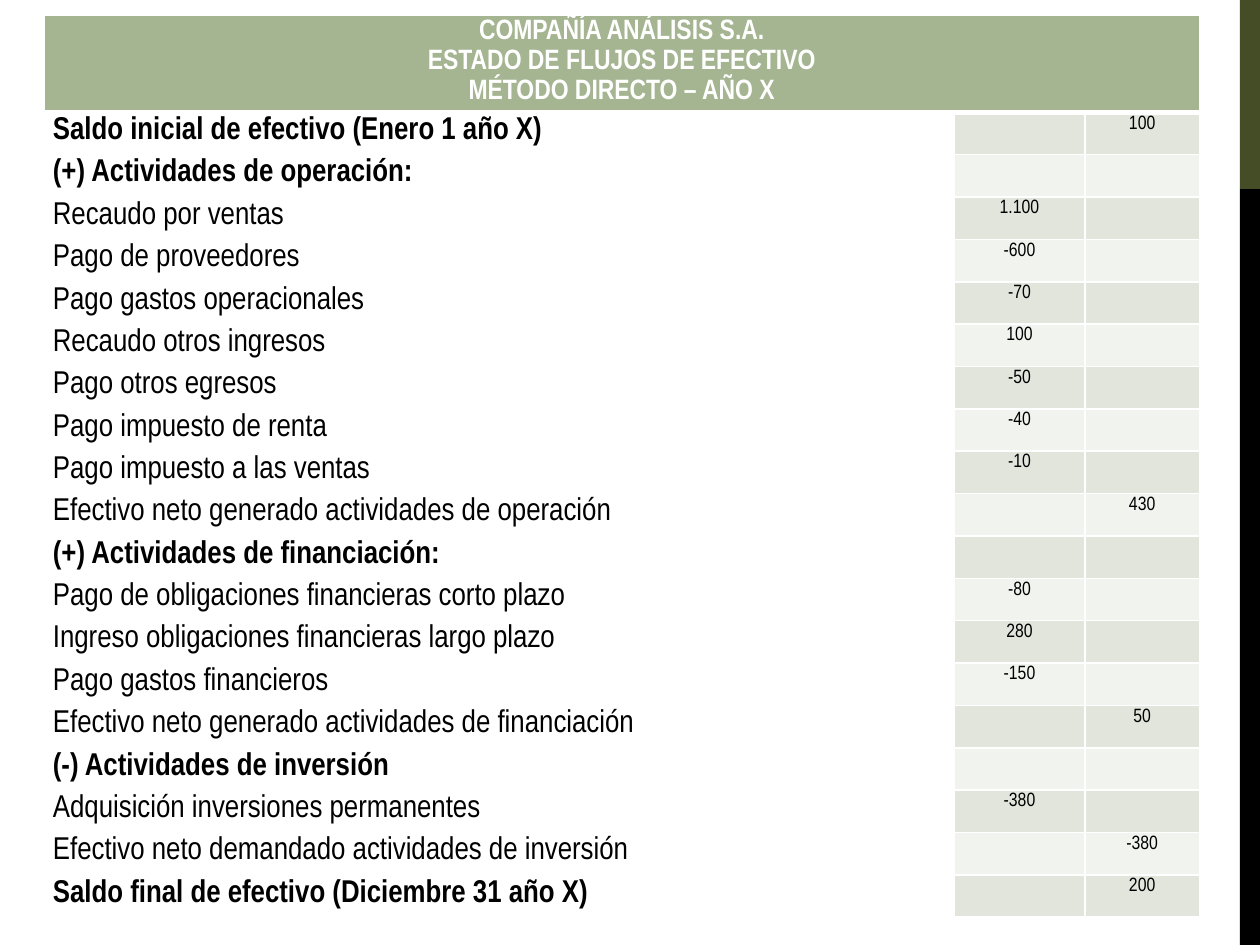
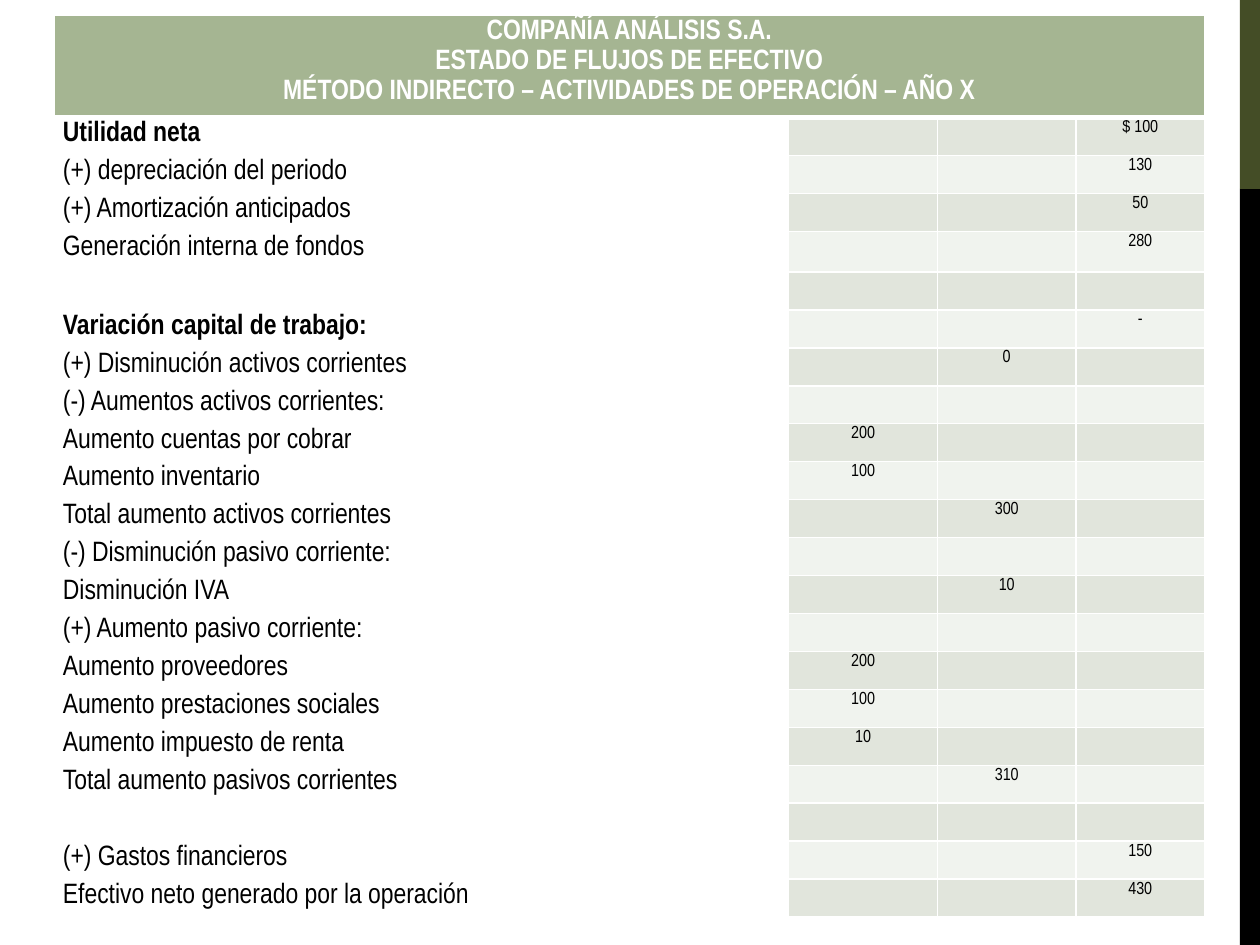
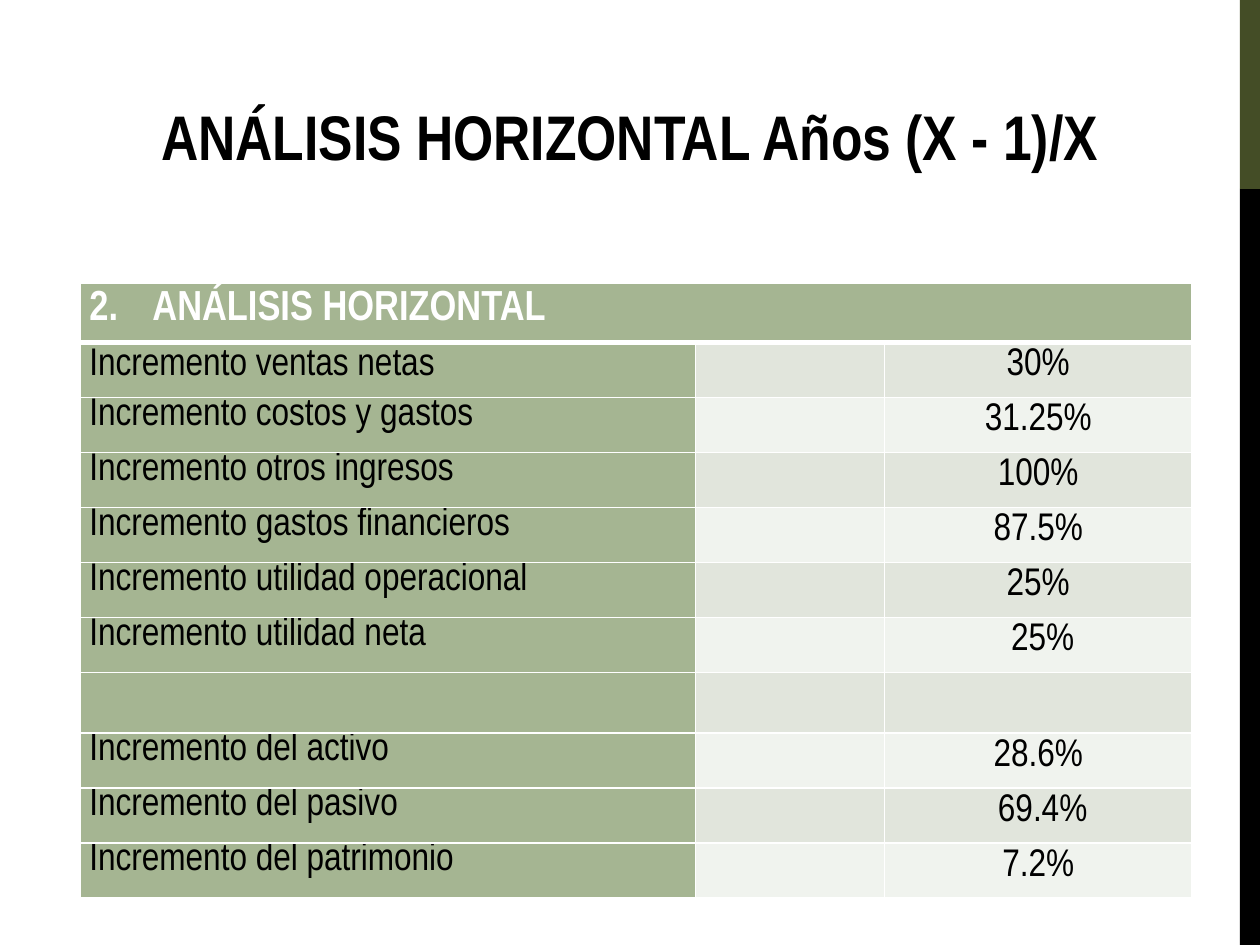
from dataclasses import dataclass
from functools import partial

from lxml import etree
from pptx import Presentation
from pptx.dml.color import RGBColor
from pptx.enum.shapes import MSO_SHAPE
from pptx.enum.text import MSO_ANCHOR, PP_ALIGN
from pptx.oxml.ns import qn
from pptx.util import Inches, Pt

RECTANGLE = MSO_SHAPE.RECTANGLE
TOP = MSO_ANCHOR.TOP
LEFT, CENTER = PP_ALIGN.LEFT, PP_ALIGN.CENTER
TITLE_ONLY, BLANK = 5, 6
GRID_COLUMNS, GRID_ROWS = 100, 75


@dataclass(frozen=True)
class Theme:
    font: str = "Arial Narrow"
    ink: str = "000000"
    paper: str = "FFFFFF"
    olive: str = "444D26"
    sage: str = "A5B592"
    stripes: tuple = ("E1E5DC", "F0F3EE")
    title_size: int = 36
    line_spacing: float = 1.15
    cell_inset: float = 0.7
    border: int = 1
    heading_border: int = 3


@dataclass(frozen=True)
class Line:
    """One statement line; column is where its amount stands."""
    label: str = ""
    column: int = 0
    amount: str = ""
    bold: bool = False


Strong = partial(Line, bold=True)


@dataclass(frozen=True)
class TableStyle:
    heading_size: int
    label_size: int
    amount_size: int
    label_fill: str
    heading_start: int = 0      # number before the heading, 0 for none
    single_spaced_from: int = 99


class Deck:
    def __init__(self, theme):
        self.theme = theme
        self.prs = Presentation()
        self.prs.slide_width, self.prs.slide_height = Inches(10), Inches(7.5)
        self.slide = None

    def x(self, columns):
        return round(self.prs.slide_width * columns / GRID_COLUMNS)

    def y(self, rows):
        return round(self.prs.slide_height * rows / GRID_ROWS)

    def box(self, left, top, width, height):
        return self.x(left), self.y(top), self.x(width), self.y(height)

    def new_slide(self, layout):
        first = self.slide is None
        self.slide = self.prs.slides.add_slide(self.prs.slide_layouts[layout])
        if first:
            self.master_band(101, 0, 15, self.theme.olive)
            self.master_band(102, 15, 60, self.theme.ink)

    def master_band(self, band_id, top, height, color):
        """Draw a band at the right edge and move it to the slide master."""
        band = self.slide.shapes.add_shape(
            RECTANGLE, *self.box(98.4, top, 1.6, height))
        band.shadow.inherit = False
        band.fill.solid()
        band.fill.fore_color.rgb = RGBColor.from_string(color)
        band.line.fill.background()
        band.element.nvSpPr.cNvPr.set("id", str(band_id))
        self.prs.slide_master.shapes.element.insert(2, band.element)

    def add_text(self, paragraph, text, size, color, bold=False, align=LEFT,
                 spacing=None):
        paragraph.alignment = align
        paragraph.line_spacing = spacing or self.theme.line_spacing
        run = paragraph.add_run()
        run.text = text
        run.font.name = self.theme.font
        run.font.size = Pt(size)
        run.font.bold = bold
        run.font.color.rgb = RGBColor.from_string(color)

    def title(self, text, *place):
        title = self.slide.shapes.title
        title.left, title.top, title.width, title.height = self.box(*place)
        title.text_frame.vertical_anchor = TOP
        title.text_frame.word_wrap = True
        self.add_text(title.text_frame.paragraphs[0], text, self.theme.title_size,
                      self.theme.ink, True, CENTER, 1.0)

    def format_cell(self, cell, fill, top=None, bottom=None):
        cell.margin_left = cell.margin_right = self.x(self.theme.cell_inset)
        cell.margin_top = cell.margin_bottom = 0
        properties = cell._tc.get_or_add_tcPr()
        widths = {"lnL": None, "lnR": None, "lnT": top, "lnB": bottom}
        for side, width in widths.items():
            line = etree.SubElement(properties, qn(f"a:{side}"),
                                    w=str(Pt(width or self.theme.border)))
            solid = etree.SubElement(line, qn("a:solidFill"))
            etree.SubElement(solid, qn("a:srgbClr"), val=self.theme.paper)
        cell.fill.solid()
        cell.fill.fore_color.rgb = RGBColor.from_string(fill)

    def number(self, paragraph, start):
        properties = paragraph._p.get_or_add_pPr()
        properties.set("marL", str(self.x(5)))
        properties.set("indent", str(-self.x(5)))
        etree.SubElement(properties, qn("a:buFont"), typeface="+mj-lt")
        etree.SubElement(properties, qn("a:buAutoNum"),
                         type="arabicPeriod", startAt=str(start))

    def heading(self, table, titles, style):
        theme = self.theme
        for cell in table.rows[0].cells:
            self.format_cell(cell, theme.sage, bottom=theme.heading_border)
        origin = table.cell(0, 0)
        origin.merge(table.cell(0, len(table.columns) - 1))
        frame = origin.text_frame
        for index, text in enumerate(titles):
            paragraph = frame.add_paragraph() if index else frame.paragraphs[0]
            self.add_text(paragraph, text, style.heading_size, theme.paper, True,
                          LEFT if style.heading_start else CENTER)
            if style.heading_start:
                self.number(paragraph, style.heading_start)

    def statement(self, place, widths, heights, titles, lines, style):
        """Add a table; widths and heights are proportions of its size."""
        theme = self.theme
        left, top, width, height = self.box(*place)
        table = self.slide.shapes.add_table(
            len(heights), len(widths), left, top, width, height).table
        for column, share in zip(table.columns, widths):
            column.width = round(width * share / sum(widths))
        for row, share in zip(table.rows, heights):
            row.height = round(height * share / sum(heights))
        self.heading(table, titles, style)
        for number, line in enumerate(lines, 1):
            stripe = theme.stripes[(number - 1) % 2]
            spacing = 1.0 if number >= style.single_spaced_from else None
            for column, cell in enumerate(table.rows[number].cells):
                self.format_cell(cell, stripe if column else style.label_fill,
                                 top=theme.heading_border if number == 1 else None)
                paragraph = cell.text_frame.paragraphs[0]
                if column == 0 and line.label:
                    self.add_text(paragraph, line.label, style.label_size, theme.ink,
                                  line.bold, spacing=spacing)
                elif column and column == line.column:
                    self.add_text(paragraph, line.amount, style.amount_size,
                                  theme.ink, align=CENTER)
                else:
                    etree.SubElement(paragraph._p, qn("a:endParaRPr"),
                                     sz=str(style.amount_size * 100))


COMPANY = ["COMPAÑÍA ANÁLISIS S.A.", "ESTADO DE FLUJOS DE EFECTIVO"]

DIRECT_METHOD = [
    Strong("Saldo inicial de efectivo (Enero 1 año X)", 2, "100"),
    Strong("(+) Actividades de operación:"),
    Line("Recaudo por ventas", 1, "1.100"),
    Line("Pago de proveedores", 1, "-600"),
    Line("Pago gastos operacionales", 1, "-70"),
    Line("Recaudo otros ingresos", 1, "100"),
    Line("Pago otros egresos", 1, "-50"),
    Line("Pago impuesto de renta", 1, "-40"),
    Line("Pago impuesto a las ventas", 1, "-10"),
    Line("Efectivo neto generado actividades de operación", 2, "430"),
    Strong("(+) Actividades de financiación:"),
    Line("Pago de obligaciones financieras corto plazo", 1, "-80"),
    Line("Ingreso obligaciones financieras largo plazo", 1, "280"),
    Line("Pago gastos financieros", 1, "-150"),
    Line("Efectivo neto generado actividades de financiación", 2, "50"),
    Strong("(-) Actividades de inversión"),
    Line("Adquisición inversiones permanentes", 1, "-380"),
    Line("Efectivo neto demandado actividades de inversión", 2, "-380"),
    Strong("Saldo final de efectivo (Diciembre 31 año X)", 2, "200"),
]

INDIRECT_METHOD = [
    Strong("Utilidad neta", 3, "$ 100"),
    Line("(+) depreciación del periodo", 3, "130"),
    Line("(+) Amortización anticipados", 3, "50"),
    Line("Generación interna de fondos", 3, "280"),
    Line(),
    Strong("Variación capital de trabajo:", 3, "-"),
    Line("(+) Disminución activos corrientes", 2, "0"),
    Line("(-) Aumentos activos corrientes:"),
    Line("Aumento cuentas por cobrar", 1, "200"),
    Line("Aumento inventario", 1, "100"),
    Line("Total aumento activos corrientes", 2, "300"),
    Line("(-) Disminución pasivo corriente:"),
    Line("Disminución IVA", 2, "10"),
    Line("(+) Aumento pasivo corriente:"),
    Line("Aumento proveedores", 1, "200"),
    Line("Aumento prestaciones sociales", 1, "100"),
    Line("Aumento impuesto de renta", 1, "10"),
    Line("Total aumento pasivos corrientes", 2, "310"),
    Line(),
    Line("(+) Gastos financieros", 3, "150"),
    Line("Efectivo neto generado por la operación", 3, "430"),
]

HORIZONTAL_ANALYSIS = [
    Line("Incremento ventas netas", 2, "30%"),
    Line("Incremento costos y gastos", 2, "31.25%"),
    Line("Incremento otros ingresos", 2, "100%"),
    Line("Incremento gastos financieros", 2, "87.5%"),
    Line("Incremento utilidad operacional", 2, "25%"),
    Line("Incremento utilidad neta", 2, " 25%"),
    Line(),
    Line("Incremento del activo", 2, "28.6%"),
    Line("Incremento del pasivo", 2, " 69.4%"),
    Line("Incremento del patrimonio", 2, "7.2%"),
]


def main():
    theme = Theme()
    deck = Deck(theme)

    deck.new_slide(BLANK)
    deck.statement((3.5, 1.2, 91.7, 71.6), [7.23, 1.04, 0.91], [0.78] + [0.34] * 19,
                   COMPANY + ["MÉTODO DIRECTO – AÑO X"], DIRECT_METHOD,
                   TableStyle(16, 18, 11, theme.paper))

    deck.new_slide(BLANK)
    deck.statement((4.3, 1.2, 91.3, 71.6), [5.83, 1.18, 1.1, 1.02],
                   [0.81] + [0.3] * 3 + [0.32] + [0.3] * 17,
                   COMPANY + ["MÉTODO INDIRECTO – ACTIVIDADES DE OPERACIÓN – AÑO X"],
                   INDIRECT_METHOD, TableStyle(16, 16, 10, theme.paper))

    deck.new_slide(TITLE_ONLY)
    deck.statement((6.4, 22.5, 88.2, 48.8), [4.88, 1.5, 2.44],
                   [0.47] + [0.44] * 6 + [0.48] + [0.44] * 3,
                   ["ANÁLISIS HORIZONTAL"], HORIZONTAL_ANALYSIS,
                   TableStyle(24, 22, 22, theme.sage, heading_start=2,
                              single_spaced_from=2))
    deck.title("ANÁLISIS HORIZONTAL Años (X - 1)/X", 6.7, 7.2, 86.6, 10.2)

    deck.prs.save("out.pptx")


if __name__ == "__main__":
    main()
